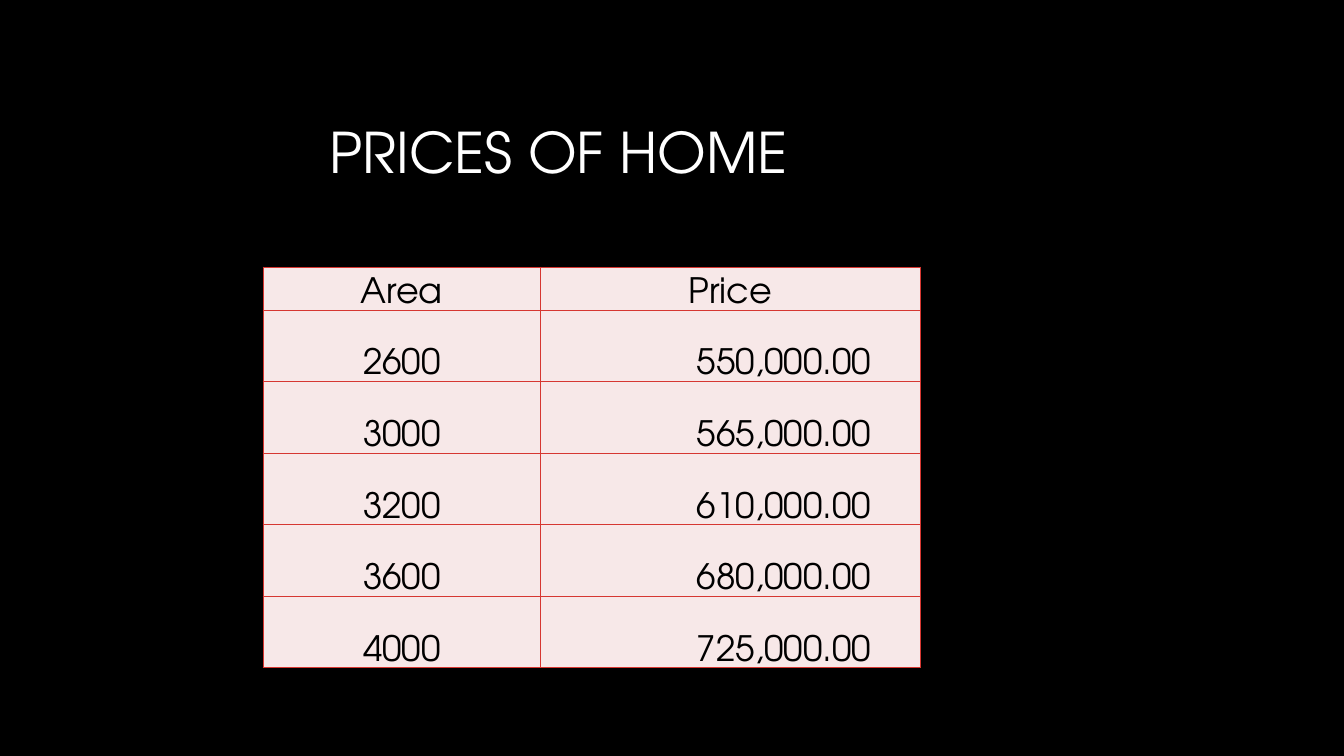
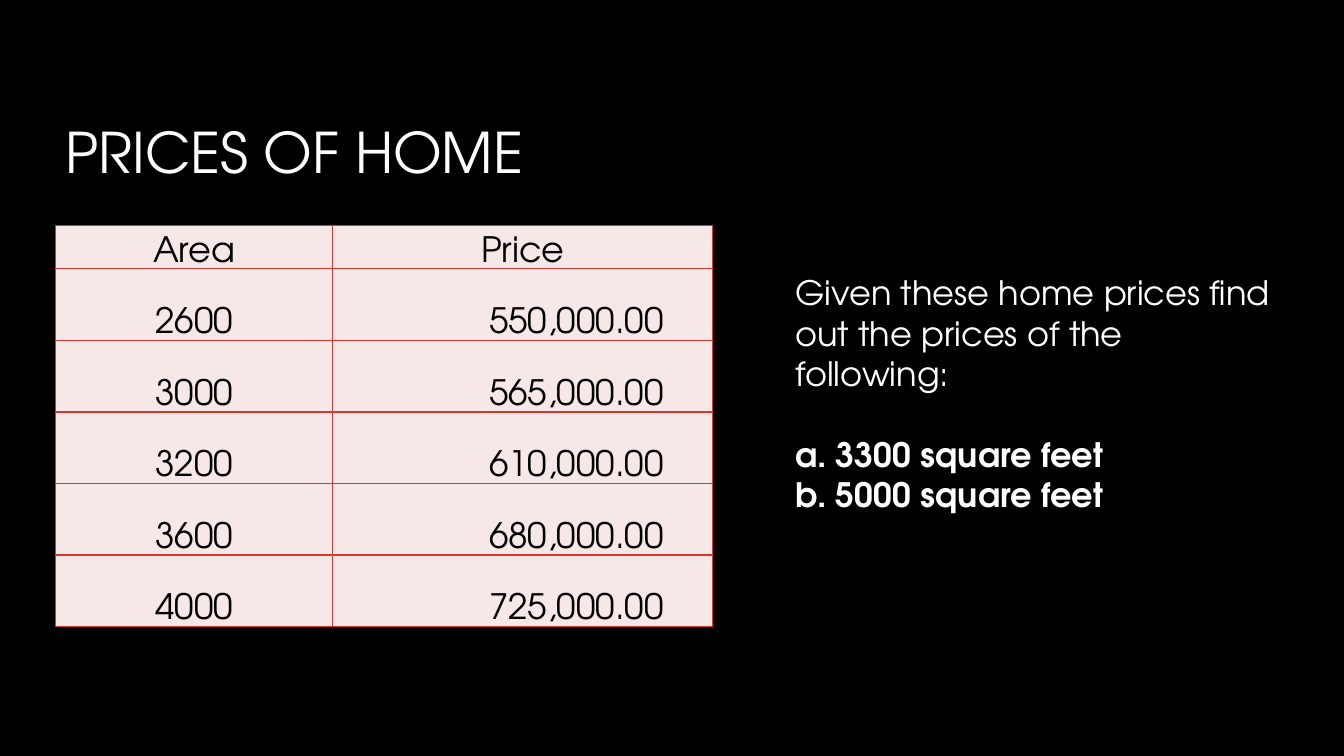
from dataclasses import dataclass

from pptx import Presentation, util as u
from pptx.dml.color import RGBColor
from pptx.enum import text as t
from pptx.oxml import parse_xml
from pptx.oxml.ns import nsdecls
from pptx.oxml.xmlchemy import OxmlElement

HUES = {"back": "000000", "text": "FFFFFF", "ink": "000000", "cell": "F7E8E8", "rule": "D63731"}
FONT = "TeX Gyre Adventor"
TITLE = "PRICES OF HOME"
ROWS = [
    ("Area", "Price"),
    ("2600", "550,000.00"),
    ("3000", "565,000.00"),
    ("3200", "610,000.00"),
    ("3600", "680,000.00"),
    ("4000", "725,000.00"),
]
WIDTHS = (2.75, 3.77)
HEAD, BODY = 0.38, 0.71
ASK = "Given these home prices find out the prices of the following:"
ITEMS = ("3300 square feet", "5000 square feet")


@dataclass(frozen=True)
class Page:
    title: float
    left: float
    top: float
    task: bool = False


PAGES = (Page(3.17, 2.61, 2.65), Page(0.55, 0.55, 2.24, True))


def tint(name: str) -> RGBColor:
    return RGBColor.from_string(HUES[name])


def write(para, words: str, size: float, hue: str, bold: bool = False) -> None:
    run = para.add_run()
    run.text = words
    font = run.font
    font.name, font.size, font.bold = FONT, u.Pt(size), bold
    font.color.rgb = tint(hue)


def frame(slide, left: float, top: float, width: float, height: float):
    body = slide.shapes.add_textbox(*map(u.Inches, (left, top, width, height))).text_frame
    body.word_wrap = True
    return body


def head(slide, left: float) -> None:
    body = frame(slide, left, 0.84, 9.42, 1.41)
    body.vertical_anchor = t.MSO_ANCHOR.MIDDLE
    para = body.paragraphs[0]
    para.line_spacing = 0.9
    write(para, TITLE, 40, "text")


def edge(cell) -> None:
    props = cell._tc.get_or_add_tcPr()
    for side in "LRTB":
        props.append(parse_xml(
            f'<a:ln{side} {nsdecls("a")} w="{u.Pt(1)}"><a:solidFill>'
            f'<a:srgbClr val="{HUES["rule"]}"/></a:solidFill></a:ln{side}>'))


def fill(cell, words: str, price: bool) -> None:
    edge(cell)
    cell.fill.solid()
    cell.fill.fore_color.rgb = tint("cell")
    cell.vertical_anchor = t.MSO_ANCHOR.BOTTOM
    cell.margin_left = cell.margin_top = u.Inches(0.01)
    cell.margin_right = u.Inches(0.49 if price else 0.01)
    cell.margin_bottom = 0
    para = cell.text_frame.paragraphs[0]
    para.alignment = t.PP_ALIGN.RIGHT if price else t.PP_ALIGN.CENTER
    write(para, words, 25, "ink")


def grid(slide, left: float, top: float) -> None:
    high = HEAD + BODY * (len(ROWS) - 1)
    size = map(u.Inches, (left, top, sum(WIDTHS), high))
    table = slide.shapes.add_table(len(ROWS), len(WIDTHS), *size).table
    for col, width in zip(table.columns, WIDTHS):
        col.width = u.Inches(width)
    for r, row in enumerate(ROWS):
        table.rows[r].height = u.Inches(BODY if r else HEAD)
        for c, words in enumerate(row):
            fill(table.cell(r, c), words, r > 0 and c == 1)


def ask(slide) -> None:
    body = frame(slide, 7.79, 2.65, 5.05, 2.52)
    write(body.paragraphs[0], ASK, 24, "text")
    for i, words in enumerate(ITEMS):
        para = body.add_paragraph()
        para.space_before = u.Pt(0 if i else 29)
        props = para._p.get_or_add_pPr()
        props.set("marL", str(u.Inches(0.4)))
        props.set("indent", str(-u.Inches(0.4)))
        mark = OxmlElement("a:buAutoNum")
        mark.set("type", "alphaLcPeriod")
        props.append(mark)
        write(para, words, 24, "text", True)


def main() -> None:
    """Build the home price slides."""
    deck = Presentation()
    deck.slide_width, deck.slide_height = u.Inches(13.33), u.Inches(7.5)
    for page in PAGES:
        slide = deck.slides.add_slide(deck.slide_layouts[6])
        back = slide.background.fill
        back.solid()
        back.fore_color.rgb = tint("back")
        head(slide, page.title)
        grid(slide, page.left, page.top)
        if page.task:
            ask(slide)
    deck.save("out.pptx")


if __name__ == "__main__":
    main()
